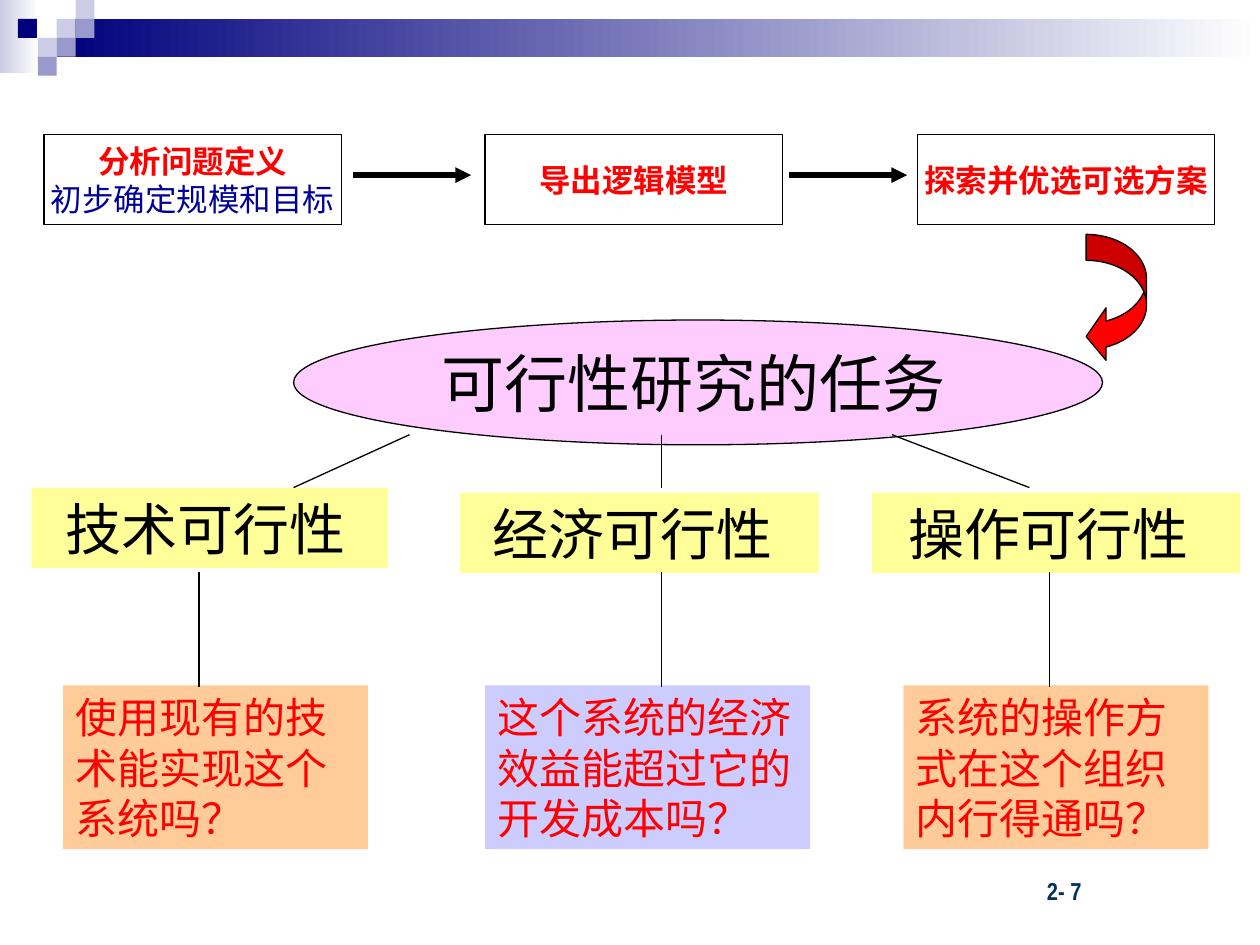
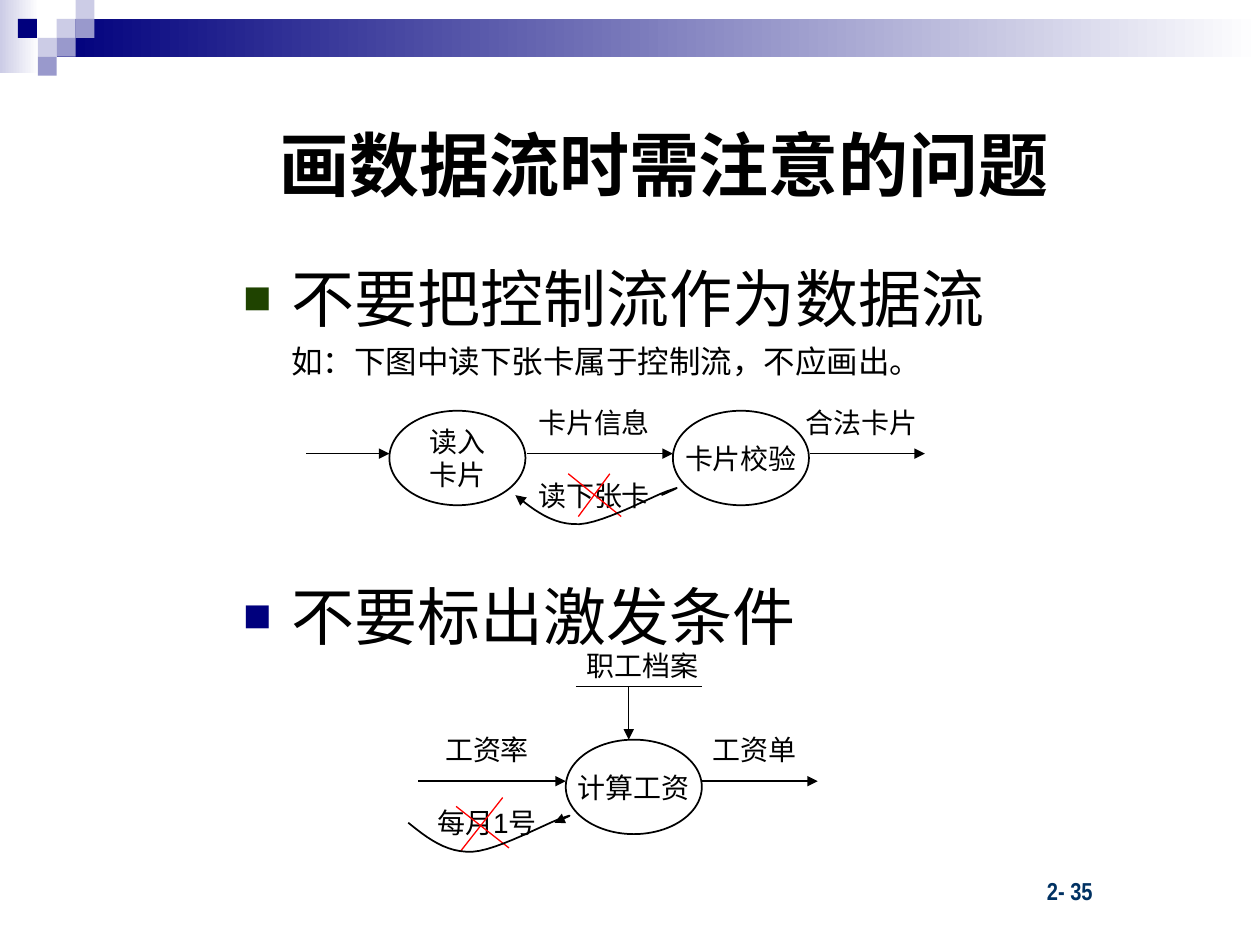
from lxml import etree
from pptx import Presentation
from pptx.dml.color import RGBColor
from pptx.enum.shapes import MSO_CONNECTOR, MSO_SHAPE
from pptx.enum.text import MSO_ANCHOR, MSO_AUTO_SIZE, PP_ALIGN
from pptx.oxml.ns import qn
from pptx.util import Inches, Pt

RECT, OVAL = MSO_SHAPE.RECTANGLE, MSO_SHAPE.OVAL
PROCESS, CURVED = MSO_SHAPE.FLOWCHART_PROCESS, MSO_SHAPE.CURVED_LEFT_ARROW
STRAIGHT = MSO_CONNECTOR.STRAIGHT
LEFT, CENTER = PP_ALIGN.LEFT, PP_ALIGN.CENTER
TOP, MIDDLE = MSO_ANCHOR.TOP, MSO_ANCHOR.MIDDLE
CJK = "Noto Sans CJK SC"
C = {"navy": "00007D", "lilac": "9999CC", "pale": "CCCCE6", "white": "FFFFFF",
     "black": "000000", "red": "FF0000", "blue": "000099", "number": "003162",
     "pink": "FFCCFF", "yellow": "FFFF99", "orange": "FFCC99", "violet": "CCCCFF",
     "green": "1F4300"}


def box(s, at, text="", shape=None, kind=RECT, fill=None, line=None, width=0.75,
        size=16, color="black", bold=False, font=CJK, align=CENTER, anchor=MIDDLE,
        wrap=True, inset=(0.1, 0.05, 0.1, 0.05), pitch=None):
    """Place a shape or placeholder; each text line is a string or (string, overrides)."""
    if shape is None:
        shape = s.shapes.add_shape(kind, *map(Inches, at))
        shape.shadow.inherit = False
        if fill:
            shape.fill.solid()
            shape.fill.fore_color.rgb = RGBColor.from_string(C[fill])
        else:
            shape.fill.background()
        if line:
            shape.line.color.rgb = RGBColor.from_string(C[line])
            shape.line.width = Pt(width)
        else:
            shape.line.fill.background()
    else:
        shape.left, shape.top, shape.width, shape.height = map(Inches, at)
    if not text:
        return shape
    tf = shape.text_frame
    tf.auto_size = MSO_AUTO_SIZE.NONE
    tf.word_wrap, tf.vertical_anchor = wrap, anchor
    tf.margin_left, tf.margin_top, tf.margin_right, tf.margin_bottom = map(Inches, inset)
    for i, item in enumerate([text] if isinstance(text, str) else text):
        words, own = (item, {}) if isinstance(item, str) else item
        fmt = {"size": size, "color": color, "bold": bold, "font": font, **own}
        p = tf.paragraphs[0] if i == 0 else tf.add_paragraph()
        p.alignment, p.space_before = align, Pt(fmt.get("before", 0))
        if pitch:
            p.line_spacing = Pt(round(pitch * fmt["size"], 1))
        r = p.add_run()
        r.text = words
        r.font.size, r.font.bold, r.font.name = Pt(fmt["size"]), fmt["bold"], fmt["font"]
        r.font.color.rgb = RGBColor.from_string(C[fmt["color"]])
        etree.SubElement(r.font._element, qn("a:ea"), typeface=CJK)
    return shape


def stroke(shape, color="black", width=0.75, arrow=None):
    """Format a connector or open curve; arrow is 'headEnd' or 'tailEnd'."""
    shape.line.color.rgb = RGBColor.from_string(C[color])
    shape.line.width = Pt(width)
    if arrow:
        etree.SubElement(shape.line._get_or_add_ln(), qn("a:" + arrow), type="triangle")
    etree.SubElement(shape._element.spPr, qn("a:effectLst"))


prs = Presentation()
prs.slide_width, prs.slide_height = Inches(10), Inches(7.5)

# Shared band, mosaic and page number
CELL = 0.15
mosaic = [(3, 1, "pale"), (4, 0, "pale"), (4, 1, "lilac"), (2, 2, "pale"),
          (0.95, 1, "navy"), (3, 2, "lilac"), (2, 3, "lilac")]
slides = []
for layout, number in [(6, "2- 7"), (1, "2- 35")]:
    s = prs.slides.add_slide(prs.slide_layouts[layout])
    for at, start in [((0, 0, 0.31, 0.58), "pale"), ((0.45, 0.15, 9.55, 0.3), "navy")]:
        fill = box(s, at).fill
        fill.gradient()
        fill.gradient_angle = 0
        for stop, name in zip(fill.gradient_stops, (start, "white")):
            stop.color.rgb = RGBColor.from_string(C[name])
        fill.gradient_stops[0].position, fill.gradient_stops[1].position = 0, 1
    for col, row, name in mosaic:
        box(s, (col * CELL, row * CELL, CELL, CELL), fill=name)
    box(s, (8.21, 6.9, 1.15, 0.33), number, size=14, color="number", bold=True,
        font="Arial Narrow", align=LEFT, anchor=TOP)
    slides.append(s)

# Slide 1: feasibility study
s = slides[0]
box(s, (2.33, 2.54, 6.42, 0.99), "可行性研究的任务", kind=OVAL, fill="pink", line="black",
    size=36, inset=(0.1, 0, 0.17, 0))
aspects = [
    ("技术可行性", (0.25, 3.87, 2.83), 0.16, "使用现有的技术能实现这个系统吗？", (0.5, 2.42), "orange"),
    ("经济可行性", (3.65, 3.91, 2.85), 0.2, "这个系统的经济效益能超过它的开发成本吗？", (3.85, 2.58), "violet"),
    ("操作可行性", (6.92, 3.91, 2.92), 0.22, "系统的操作方式在这个组织内行得通吗？", (7.17, 2.42), "orange"),
]
for name, at, right, question, (x, w), fill in aspects:
    box(s, (*at, 0.64), name, fill="yellow", size=32, inset=(0.1, 0, right, 0))
    box(s, (x, 5.44, w, 1.3), question, fill=fill, size=24, color="red", align=LEFT,
        anchor=TOP, pitch=1.2)
for x1, x2, x3 in [(3.25, 2.33, 1.58), (5.25, 5.25, 5.25), (7.08, 8.17, 8.33)]:
    for ends in [(x1, 3.45, x2, 3.87), (x3, 4.54, x3, 5.45)]:
        stroke(s.shapes.add_connector(STRAIGHT, *map(Inches, ends)))

steps = [(0.35, ["分析问题定义", ("初步确定规模和目标", {"color": "blue", "bold": False})]),
         (3.85, "导出逻辑模型"), (7.28, "探索并优选可选方案")]
for x, text in steps:
    box(s, (x, 1.07, 2.36, 0.71), text, fill="white", line="black", size=18, color="red",
        bold=True, wrap=False, pitch=1.2)
for x in (2.8, 6.26):
    stroke(s.shapes.add_connector(STRAIGHT, *map(Inches, (x, 1.39, x + 0.94, 1.39))),
           width=3, arrow="tailEnd")
turn = box(s, (8.62, 1.86, 0.48, 1.02), kind=CURVED, fill="red", line="black")
for i, share in enumerate((0.43, 0.87, 0.33)):
    turn.adjustments[i] = share

# Slide 2: data flow mistakes
s = slides[1]
box(s, (1.32, 0.67, 7.9, 1.25), "画数据流时需注意的问题", shape=s.shapes.title, size=40, bold=True)
body = box(s, (1.83, 2.01, 6.92, 5.17),
           ["不要把控制流作为数据流",
            ("如：下图中读下张卡属于控制流，不应画出。", {"size": 18, "font": "Arial", "before": 4}),
            ("不要标出激发条件", {"before": 113})],
           shape=s.placeholders[1], size=36, align=LEFT, anchor=TOP, pitch=1.2)
for p, bullet in zip(body.text_frame.paragraphs, ("green", None, "navy")):
    pPr = p._p.get_or_add_pPr()
    pPr.set("marL", str(Inches(0.38)))
    pPr.set("indent", str(Inches(-0.38) if bullet else 0))
    if bullet:
        etree.SubElement(etree.SubElement(pPr, qn("a:buClr")), qn("a:srgbClr"), val=C[bullet])
        etree.SubElement(pPr, qn("a:buSzPct"), val="75000")
        etree.SubElement(pPr, qn("a:buFont"), typeface="Arial")
        etree.SubElement(pPr, qn("a:buChar"), char="■")
    else:
        etree.SubElement(pPr, qn("a:buNone"))

for x, y, text in [(3.09, 3.26, ["读入", "卡片"]), (5.34, 3.26, "卡片校验"), (4.49, 5.87, "计算工资")]:
    box(s, (x, y, 1.08, 0.75), text, kind=OVAL, line="black", width=1, font="Arial",
        wrap=False, pitch=1.2)
labels = [(6.34, 3.1, 1, "合法卡片"), (4.34, 3.1, 0.75, "卡片信息"), (4.34, 3.68, 0.75, "读下张卡"),
          (5.49, 5.7, 1, "工资单"), (3.49, 5.7, 0.75, "工资率"), (3.49, 6.28, 0.75, "每月1号"),
          (4.6, 5.03, 1, "职工档案")]
for x, y, w, text in labels:
    box(s, (x, y, w, 0.5), text, kind=PROCESS, font="Arial", wrap=False)

flows = [(2.43, 3.6, 3.09), (4.18, 3.6, 5.34), (6.43, 3.6, 7.34), (3.32, 6.2, 4.49), (5.57, 6.2, 6.49)]
lines = [((x1, y, x2, y), "black", 1, "tailEnd") for x1, y, x2 in flows]
lines += [((4.57, 5.45, 5.57, 5.45), "black", 0.75, None),
          ((4.99, 5.45, 4.99, 5.87), "black", 0.75, "tailEnd")]
crosses = [(4.84, 3.76, 4.59, 4.1), (4.51, 3.76, 4.93, 4.1),
           (3.99, 6.33, 3.66, 6.75), (3.62, 6.4, 4.04, 6.73)]
lines += [(ends, "red", 0.75, None) for ends in crosses]
for ends, color, width, arrow in lines:
    stroke(s.shapes.add_connector(STRAIGHT, *map(Inches, ends)), color, width, arrow)

# Control flow curve: three joined cubic Béziers, drawn once per diagram
curve = [(0, 0.08), (0.15, 0.2), (0.3, 0.32), (0.51, 0.31), (0.71, 0.3), (1.12, 0.07),
         (1.23, 0.04), (1.34, 0), (1.25, 0.04), (1.16, 0.08)]
STEPS = 12
for x0, y0, arrow in [(4.09, 3.85, "headEnd"), (3.24, 6.45, "tailEnd")]:
    points = []
    for i in range(0, 9, 3):
        for step in range(1, STEPS + 1):
            t = step / STEPS
            weights = ((1 - t) ** 3, 3 * t * (1 - t) ** 2, 3 * t * t * (1 - t), t ** 3)
            x, y = (sum(k * pt[axis] for k, pt in zip(weights, curve[i:i + 4])) for axis in (0, 1))
            points.append((Inches(x0 + x), Inches(y0 + y)))
    fb = s.shapes.build_freeform(Inches(x0), Inches(y0 + curve[0][1]))
    fb.add_line_segments(points, close=False)
    sp = fb.convert_to_shape()
    sp.fill.background()
    stroke(sp, width=1, arrow=arrow)

prs.save("out.pptx")
